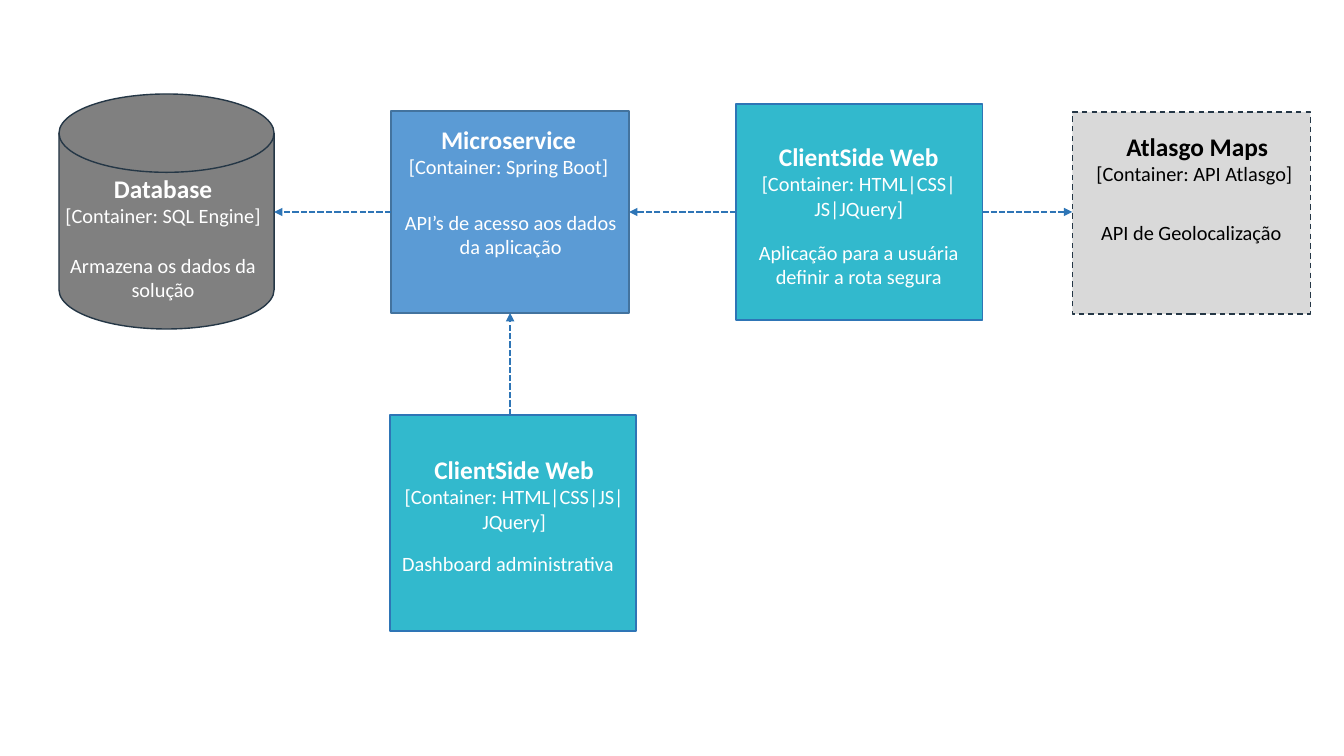
from pptx import Presentation
from pptx.dml.color import RGBColor
from pptx.enum.dml import MSO_LINE
from pptx.enum.shapes import MSO_CONNECTOR, MSO_SHAPE
from pptx.enum.text import PP_ALIGN
from pptx.oxml.ns import qn
from pptx.util import Inches, Pt
from lxml.etree import SubElement

WHITE = RGBColor(0xFF, 0xFF, 0xFF)
BLACK = RGBColor(0, 0, 0)
GRAY = RGBColor(0x80, 0x80, 0x80)
LIGHT = RGBColor(0xD9, 0xD9, 0xD9)
BLUE = RGBColor(0x5B, 0x9B, 0xD5)
CYAN = RGBColor(0x32, 0xB9, 0xCD)
NAVY = RGBColor(0x25, 0x37, 0x46)
STEEL = RGBColor(0x43, 0x73, 0x9E)
ARROW = RGBColor(0x2E, 0x75, 0xB6)

FONT = "Calibri"
TITLE_SIZE, BODY_SIZE = 18.1, 14.5
EMU_PER_PX = 914400 / 100.8
ROW_AXIS = 212

RECT, DISK = MSO_SHAPE.RECTANGLE, MSO_SHAPE.FLOWCHART_MAGNETIC_DISK
STYLES = {
    "database": (DISK, GRAY, NAVY, None, WHITE),
    "service": (RECT, BLUE, STEEL, None, WHITE),
    "client": (RECT, CYAN, ARROW, None, WHITE),
    "external": (RECT, LIGHT, NAVY, MSO_LINE.DASH, BLACK),
}

# name: style, box, heading area, title, technology, description area, description
CONTAINERS = {
    "database": ("database", (59, 94, 215, 235),
                 (51, 168, 224, 66), "Database", "[Container: SQL Engine]",
                 (51, 248, 224, 59), "Armazena os dados da solução"),
    "microservice": ("service", (391, 111, 238, 202),
                     (380, 119, 257, 66), "Microservice", "[Container: Spring Boot]",
                     (392, 205, 237, 59), "API’s de acesso aos dados da aplicação"),
    "maps": ("external", (1072, 112, 238, 202),
             (1075, 126, 238, 66), " Atlasgo Maps", "[Container: API Atlasgo]",
             (1072, 215, 238, 35), "API de Geolocalização"),
    "web": ("client", (736, 104, 246, 216),
            (745, 136, 227, 90), "ClientSide Web", "[Container: HTML|CSS|JS|JQuery]",
            (735, 235, 247, 59), "Aplicação para a usuária definir a rota segura"),
    "dashboard": ("client", (390, 415, 246, 216),
                  (392, 449, 244, 90), "ClientSide Web", "[Container: HTML|CSS|JS|JQuery]",
                  (390, 546, 240, 35), "Dashboard administrativa "),
}
LINKS = [("microservice", "database"), ("web", "microservice"),
         ("web", "maps"), ("dashboard", "microservice")]


def emu(lengths):
    return [round(v * EMU_PER_PX) for v in lengths]


def add_text(s, area, lines, color):
    tf = s.shapes.add_textbox(*emu(area)).text_frame
    tf.word_wrap = True
    for i, (text, size, bold) in enumerate(lines):
        p = tf.add_paragraph() if i else tf.paragraphs[0]
        p.alignment = PP_ALIGN.CENTER
        r = p.add_run()
        r.text = text
        r.font.name, r.font.size, r.font.bold = FONT, Pt(size), bold
        r.font.color.rgb = color


def add_container(s, style, box, head, title, technology, body, description):
    preset, fill, line, dash, color = STYLES[style]
    sp = s.shapes.add_shape(preset, *emu(box))
    sp.shadow.inherit = False
    sp.fill.solid()
    sp.fill.fore_color.rgb = fill
    sp.line.color.rgb = line
    sp.line.width = Pt(1)
    if dash:
        sp.line.dash_style = dash
    add_text(s, head, [(title, TITLE_SIZE, True), (technology, BODY_SIZE, False)], color)
    add_text(s, body, [(description, BODY_SIZE, False)], color)


def link_ends(source, target):
    sx, sy, sw, sh = source
    tx, ty, tw, th = target
    if sy >= ty + th:
        axis = tx + tw / 2
        return axis, sy, axis, ty + th
    if sx >= tx + tw:
        return sx, ROW_AXIS, tx + tw, ROW_AXIS
    return sx + sw, ROW_AXIS, tx, ROW_AXIS


def add_arrow(s, ends):
    c = s.shapes.add_connector(MSO_CONNECTOR.STRAIGHT, *emu(ends))
    c.line.color.rgb = ARROW
    c.line.width = Pt(1.5)
    c.line.dash_style = MSO_LINE.SQUARE_DOT
    SubElement(c.line._get_or_add_ln(), qn("a:tailEnd"), type="triangle")
    SubElement(c._element.spPr, qn("a:effectLst"))


prs = Presentation()
prs.slide_width, prs.slide_height = Inches(13.33), Inches(7.5)
s = prs.slides.add_slide(prs.slide_layouts[6])

for container in CONTAINERS.values():
    add_container(s, *container)
for source, target in LINKS:
    add_arrow(s, link_ends(CONTAINERS[source][1], CONTAINERS[target][1]))

prs.save("out.pptx")
